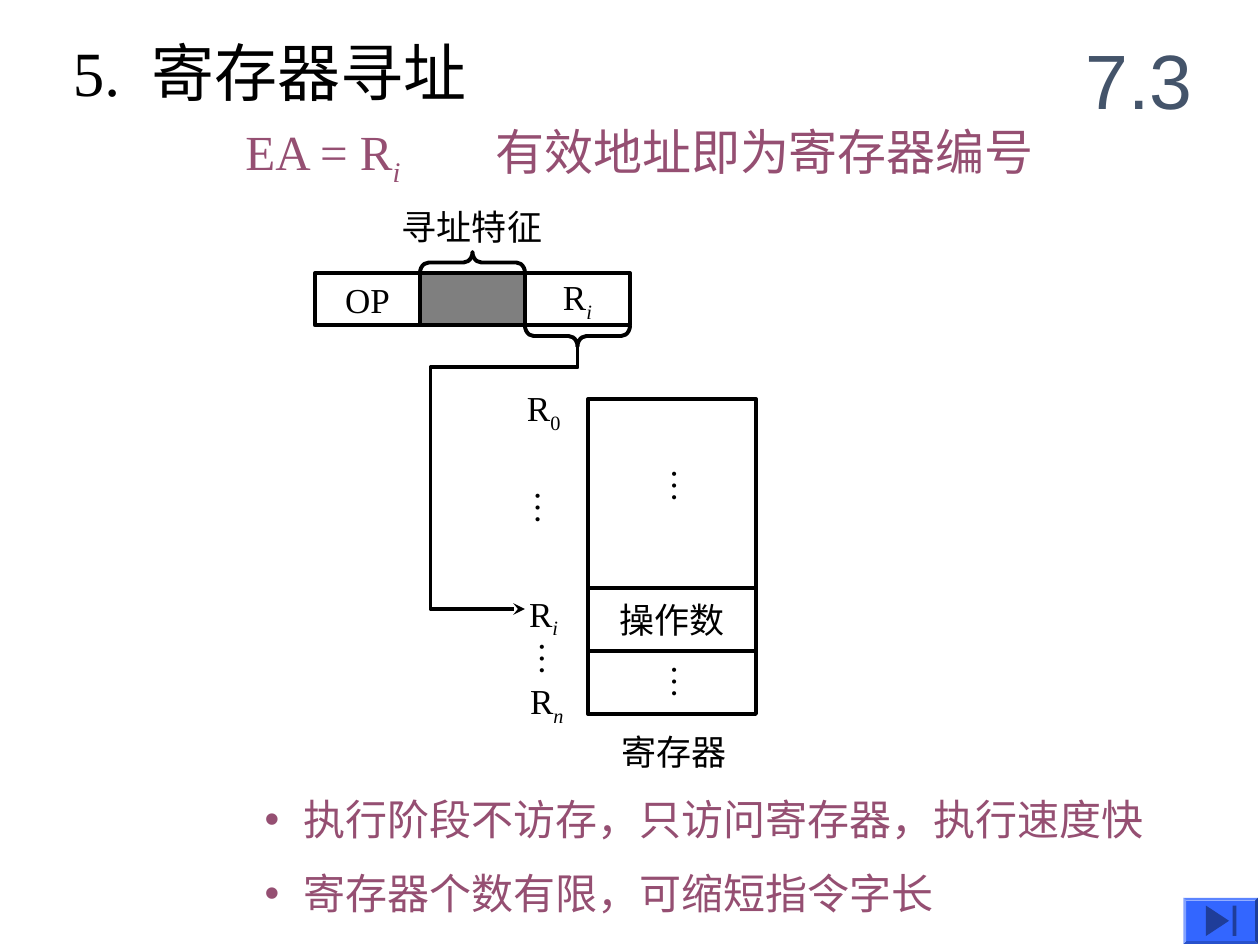
import lxml.etree
import pptx
import pptx.dml.color
import pptx.enum.shapes
import pptx.enum.text
import pptx.oxml.ns
import pptx.util

SHAPE = pptx.enum.shapes.MSO_SHAPE
ALIGN = pptx.enum.text.PP_ALIGN
ANCHOR = pptx.enum.text.MSO_ANCHOR
BLACK, PLUM, SLATE, BLUE, NAVY = "000000", "954F72", "44546A", "3366FF", "1F3D99"
SERIF = "Times New Roman"
COLUMNS = 120  # square grid: 120 columns by 90 rows

deck = pptx.Presentation()
deck.slide_width, deck.slide_height = pptx.util.Inches(10), pptx.util.Inches(7.5)
page = deck.slides.add_slide(deck.slide_layouts[1])


def grid(*cells):
    return [round(cell * deck.slide_width / COLUMNS) for cell in cells]


def colour(hex_value):
    return pptx.dml.color.RGBColor.from_string(hex_value)


def child(parent, tag, **attributes):
    return lxml.etree.SubElement(parent, pptx.oxml.ns.qn(tag), attributes)


def apply(target, values):
    for name, value in values.items():
        setattr(target, name, value)


def write(para, text, size, hex_value=BLACK, font=SERIF, index="", italic=True):
    """Write text, with an optional subscript index after it."""
    for part in filter(None, (text, index)):
        span = para.add_run()
        span.text = part
        apply(span.font, {"size": pptx.util.Pt(size), "name": font, "bold": False})
        span.font.color.rgb = colour(hex_value)
        if part is index:
            span.font.italic = italic
            span.font._element.set("baseline", "-25000")


def label(box, text, size=20, wrap=False, align=ALIGN.LEFT, anchor=ANCHOR.TOP, **style):
    area = page.shapes.add_textbox(*grid(*box))
    frame = area.text_frame
    apply(frame, {"word_wrap": wrap, "vertical_anchor": anchor})
    frame.paragraphs[0].alignment = align
    write(frame.paragraphs[0], text, size, **style)
    return area


def ellipsis(box):
    """Place three dots that run downwards."""
    frame = label(box, "…").text_frame
    narrow, wide = pptx.util.Inches(0.05), pptx.util.Inches(0.1)
    apply(frame, {"margin_left": narrow, "margin_right": narrow,
                  "margin_top": wide, "margin_bottom": wide})
    frame._txBody.bodyPr.set("vert", "eaVert")


def outline(shape):
    shape.shadow.inherit = False
    shape.fill.background()
    shape.line.color.rgb = colour(BLACK)
    shape.line.width = pptx.util.Pt(2.25)
    return shape


def cell(box, text="", **style):
    shape = outline(page.shapes.add_shape(SHAPE.RECTANGLE, *grid(*box)))
    if text:
        frame = shape.text_frame
        apply(frame, {"word_wrap": False, "vertical_anchor": ANCHOR.MIDDLE})
        frame.paragraphs[0].alignment = ALIGN.CENTER
        write(frame.paragraphs[0], text, 20, **style)
    return shape


def brace(box, rotation):
    """Lay a brace along the box; its tip is up at 90 degrees, down at 270."""
    left, top, width, height = box
    upright = (left + (width - height) / 2, top + (height - width) / 2, height, width)
    shape = outline(page.shapes.add_shape(SHAPE.LEFT_BRACE, *grid(*upright)))
    shape.adjustments[0] = 0.42
    shape.rotation = rotation


def heading(box):
    left, top, width, height = box
    title = page.shapes.title
    apply(title, dict(zip(("left", "top", "width", "height"),
                          grid(left, top, width * 0.4, height))))
    frame = title.text_frame
    apply(frame, {"vertical_anchor": ANCHOR.TOP, "word_wrap": True,
                  "auto_size": pptx.enum.text.MSO_AUTO_SIZE.NONE})
    para = frame.paragraphs[0]
    para.alignment = ALIGN.LEFT
    stops = child(para._p.get_or_add_pPr(), "a:tabLst")
    child(stops, "a:tab", pos=str(grid(7.5)[0]), algn="l")
    write(para, "5.\t寄存器寻址", 36)
    label((left + width - 15, top - 0.6, 15, 11), "7.3", 44, wrap=True, align=ALIGN.CENTER,
          anchor=ANCHOR.MIDDLE, hex_value=SLATE, font="Arial")


def formula(box):
    left, top, width, height = box
    label((left, top, 18, height), "EA = R", 28, hex_value=PLUM, index="i")
    label((left + width - 58, top, 58, height), "有效地址即为寄存器编号", 28,
          wrap=True, hex_value=PLUM)


def instruction(box):
    """Draw the three fields of the instruction with their braces."""
    left, top, width, height = box
    field = width / 3
    cell((left, top, field, height), "OP")
    mode = cell((left + field, top, field, height))
    mode.fill.solid()
    mode.fill.fore_color.rgb = colour(BLACK)
    child(mode.fill._xPr.find(".//" + pptx.oxml.ns.qn("a:srgbClr")), "a:alpha", val="50000")
    cell((left + 2 * field, top, field, height), "R", index="i")
    brace((left + field, top - 2, field, 2), 90)
    brace((left + 2 * field, top + height, field, 2), 270)
    label((left + field - 2.9, top - 7, 17, 5.3), "寻址特征", wrap=True)


def address_arrow(box):
    left, top, width, height = box
    bend = top + 2
    start, *corners = [tuple(grid(*point)) for point in (
        (left + width, top), (left + width, bend), (left, bend),
        (left, top + height), (left + 9, top + height))]
    path_builder = page.shapes.build_freeform(*start)
    path_builder.add_line_segments(corners, close=False)
    arrow = outline(path_builder.convert_to_shape())
    child(arrow.line._get_or_add_ln(), "a:tailEnd", type="stealth")


def registers(box):
    """Draw the register file, split in rows of 3, 1 and 1 fifths."""
    left, top, width, height = box
    row = height / 5
    cell((left, top, width, 3 * row))
    cell((left, top + 3 * row, width, row), "操作数")
    cell((left, top + 4 * row, width, row))
    for across, down in ((5.6, 5.4), (5.6, 24.1), (-7.4, 7.5), (-7, 21.9)):
        ellipsis((left + across, top + down, 6.4, 4.6))
    for across, down, index in ((-7, -1.8, "0"), (-6.8, 17.8, "i"), (-6.7, 26.1, "n")):
        label((left + across, top + down, 6.6, 5.8), "R", wrap=True,
              index=index, italic=index != "0")
    label((left + 2, top + height + 1, width, 5.3), "寄存器", wrap=True)


def remarks(box):
    body = page.placeholders[1]
    apply(body, dict(zip(("left", "top", "width", "height"), grid(*box))))
    frame = body.text_frame
    apply(frame, {"auto_size": pptx.enum.text.MSO_AUTO_SIZE.NONE, "word_wrap": True,
                  "vertical_anchor": ANCHOR.TOP})
    lines = "执行阶段不访存，只访问寄存器，执行速度快", "寄存器个数有限，可缩短指令字长"
    indent = grid(3.7)[0]
    for number, text in enumerate(lines):
        para = frame.add_paragraph() if number else frame.paragraphs[0]
        para.space_before = pptx.util.Pt(13.5 * number)
        settings = para._p.get_or_add_pPr()
        settings.set("marL", str(indent))
        settings.set("indent", str(-indent))
        child(child(settings, "a:buClr"), "a:srgbClr", val=PLUM)
        child(settings, "a:buChar", char="•")
        write(para, text, 24, PLUM)


def end_button(box):
    left, top, width, height = box
    middle = top + height / 2
    parts = (
        (SHAPE.BEVEL, box, BLUE, 0),
        (SHAPE.ISOSCELES_TRIANGLE, (left + 1.8, middle - 1.1, 2.9, 2.2), NAVY, 90),
        (SHAPE.RECTANGLE, (left + 4.7, middle - 1.45, 0.35, 2.9), NAVY, 0))
    for kind, place, hex_value, rotation in parts:
        shape = page.shapes.add_shape(kind, *grid(*place))
        shape.shadow.inherit = False
        shape.fill.solid()
        shape.fill.fore_color.rgb = colour(hex_value)
        shape.line.fill.background()
        shape.rotation = rotation
        if kind == SHAPE.BEVEL:
            shape.adjustments[0] = 0.06


heading((5.75, 2.6, 110.25, 8.4))
formula((22.2, 11, 81.8, 7))
instruction((30, 26, 30, 5))
address_arrow((41, 33, 14, 25))
registers((56, 38, 16, 30))
remarks((24, 75, 89, 13))
end_button((112.7, 85.5, 7.1, 4.4))
deck.save("out.pptx")
